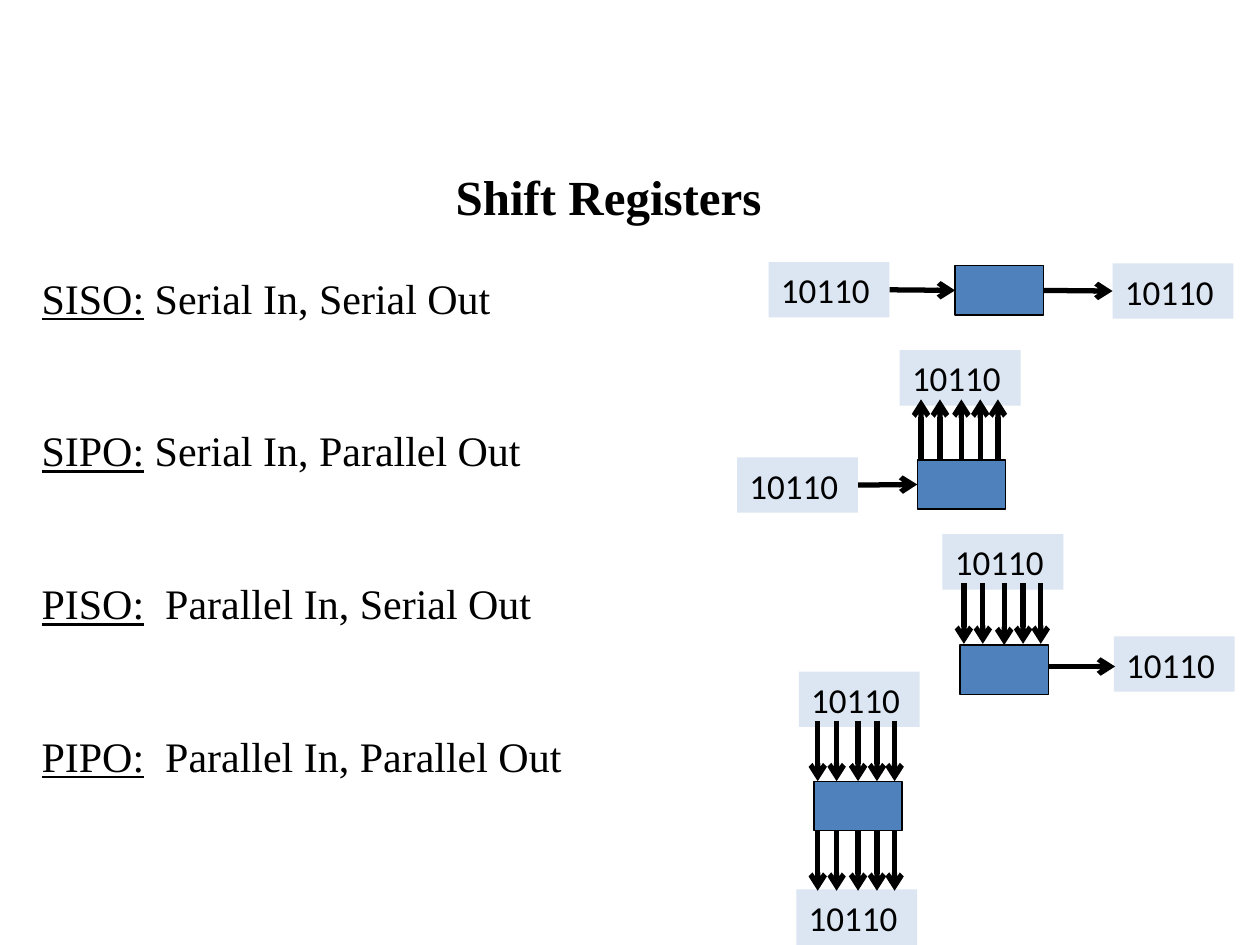
"""Build a slide that compares the four kinds of shift register."""
from lxml import etree
from pptx import Presentation
from pptx.dml.color import RGBColor
from pptx.enum.shapes import MSO_CONNECTOR, MSO_SHAPE
from pptx.enum.text import MSO_ANCHOR, PP_ALIGN
from pptx.oxml.ns import qn
from pptx.util import Pt

PX = 9144
STRAIGHT = MSO_CONNECTOR.STRAIGHT
RECTANGLE = MSO_SHAPE.RECTANGLE
TOP, MIDDLE = MSO_ANCHOR.TOP, MSO_ANCHOR.MIDDLE
LEFT, CENTER = PP_ALIGN.LEFT, PP_ALIGN.CENTER
color = RGBColor.from_string
SERIF = "Times New Roman"
BLOCK_W, BLOCK_H = 70, 39
LABEL_W, LABEL_H = 96, 44
BUS_OFFSETS = (3, 18, 35, 50, 64)


def write(para, text, size=24, font=SERIF, bold=False, underline=False, align=LEFT):
    para.alignment = align
    span = para.add_run()
    span.text = text
    span.font.size = Pt(size)
    span.font.name = font
    span.font.bold = bold
    span.font.underline = underline
    span.font.color.rgb = color("000000")


def draw_arrow(group, ends, begin=None, end=None):
    arrow = group.shapes.add_connector(STRAIGHT, *(value * PX for value in ends))
    if begin:
        arrow.begin_connect(*begin)
    if end:
        arrow.end_connect(*end)
    arrow.line.color.rgb = color("000000")
    arrow.line.width = Pt(3)
    etree.SubElement(arrow.line._get_or_add_ln(), qn("a:tailEnd"), type="arrow")
    etree.SubElement(arrow._element.spPr, qn("a:effectLst"))


deck = Presentation()
deck.slide_width, deck.slide_height = 1000 * PX, 750 * PX
page = deck.slides.add_slide(deck.slide_layouts[6])

frames = []
for left, top, width, height in ((33, 132, 900, 67), (33, 216, 578, 480)):
    box = page.shapes.add_textbox(left * PX, top * PX, width * PX, height * PX)
    frame = box.text_frame
    frame.word_wrap = True
    frame.vertical_anchor = TOP
    frame.margin_left = frame.margin_right = frame.margin_top = frame.margin_bottom = 0
    frames.append(frame)
title, body = frames
write(title.paragraphs[0], "Shift Registers", size=28, bold=True, align=CENTER)

REGISTERS = (
    ("SISO:", " Serial In, Serial Out"),
    ("SIPO:", " Serial In, Parallel Out"),
    ("PISO:", "  Parallel In, Serial Out"),
    ("PIPO:", "  Parallel In, Parallel Out"),
)
for index, (name, meaning) in enumerate(REGISTERS):
    para = body.add_paragraph() if index else body.paragraphs[0]
    para.space_after = Pt(58.5)
    write(para, name, underline=True)
    write(para, meaning)

DIAGRAMS = (
    {"block": (758, 211), "labels": ((610, 208), (883, 209)),
     "serial": (((706, 230, 758, 230), (1, 3), (0, 1)),
                ((828, 230, 883, 231), (0, 3), (2, 1))),
     "buses": ()},
    {"block": (728, 365), "labels": ((714, 278), (585, 363)),
     "serial": (((681, 385, 728, 385), (2, 3), (0, 1)),),
     "buses": ((365, 317, (0, 0), None),)},
    {"block": (762, 512), "labels": ((748, 424), (884, 505)),
     "serial": (((832, 529, 885, 529), None, None),),
     "buses": ((463, 511, None, (0, 0)),)},
    {"block": (646, 620), "labels": ((634, 533), (632, 706)),
     "serial": (),
     "buses": ((572, 620, None, (0, 0)), (659, 707, (0, 2), None))},
)
for diagram in DIAGRAMS:
    group = page.shapes.add_group_shape()
    block_left, block_top = diagram["block"]
    block = group.shapes.add_shape(RECTANGLE, block_left * PX, block_top * PX,
                                   BLOCK_W * PX, BLOCK_H * PX)
    block.shadow.inherit = False
    block.fill.solid()
    block.fill.fore_color.rgb = color("4F81BD")
    block.line.color.rgb = color("000000")
    block.line.width = Pt(0.75)

    parts = [block]
    for left, top in diagram["labels"]:
        label = group.shapes.add_shape(RECTANGLE, left * PX, top * PX,
                                       LABEL_W * PX, LABEL_H * PX)
        label.shadow.inherit = False
        label.fill.solid()
        label.fill.fore_color.rgb = color("DCE6F2")
        label.line.fill.background()
        label.text_frame.vertical_anchor = MIDDLE
        write(label.text_frame.paragraphs[0], "10110", size=20, font="Calibri")
        parts.append(label)

    arrows = list(diagram["serial"])
    for start, stop, begin, end in diagram["buses"]:
        for offset in BUS_OFFSETS:
            x = block_left + offset
            central = offset * 2 == BLOCK_W
            arrows.append(((x, start, x, stop),
                           begin if central else None, end if central else None))
    for ends, begin, end in arrows:
        draw_arrow(group, ends,
                   begin=begin and (parts[begin[0]], begin[1]),
                   end=end and (parts[end[0]], end[1]))

deck.save("out.pptx")
